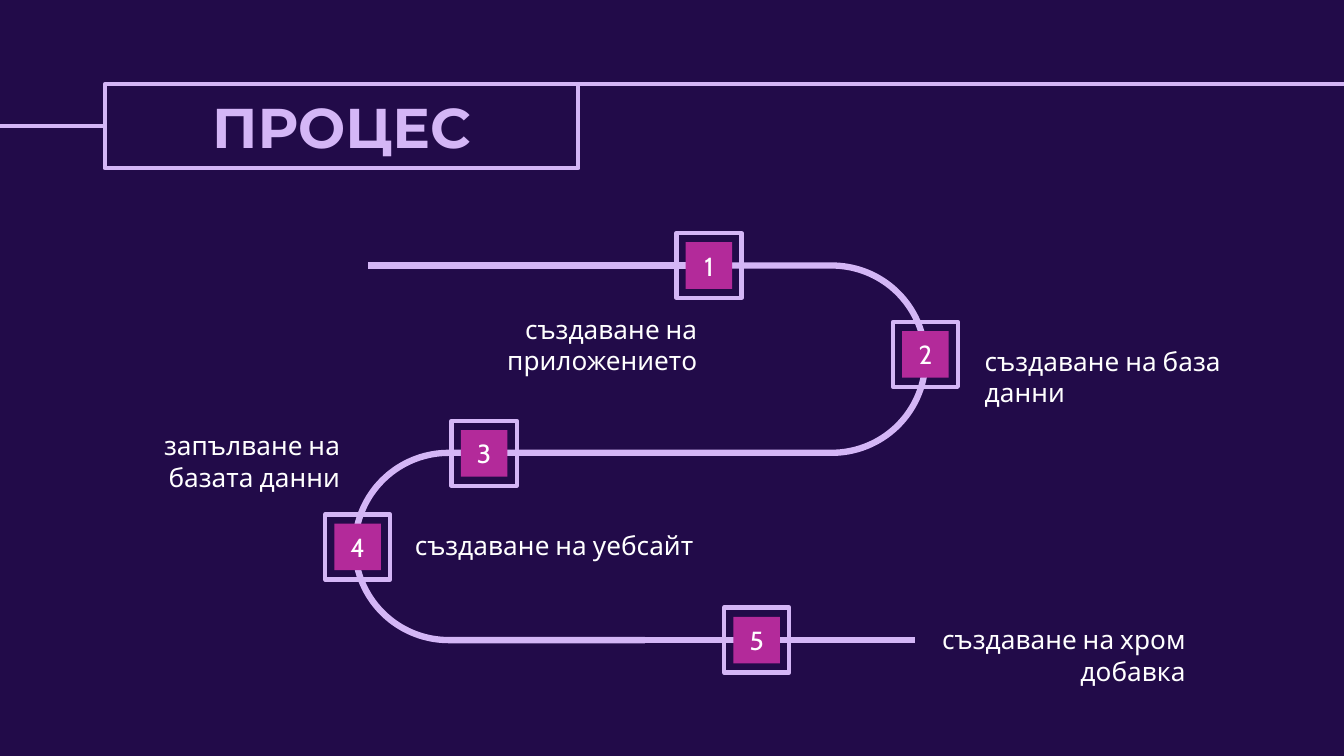
import math
from collections import namedtuple
from dataclasses import dataclass

from lxml import etree
from pptx import Presentation
from pptx import util as u
from pptx.dml.color import RGBColor
from pptx.enum import shapes, text
from pptx.oxml import ns

Box = namedtuple("Box", "left top width height")


@dataclass(frozen=True)
class Theme:
    """Colours, fonts and sizes of the slide."""
    night: RGBColor = RGBColor.from_string("220B49")
    lilac: RGBColor = RGBColor.from_string("D4B6F6")
    magenta: RGBColor = RGBColor.from_string("B32A9A")
    white: RGBColor = RGBColor.from_string("FFFFFF")
    title_font: str = "Montserrat"
    body_font: str = "Cabin"
    title_size: int = 30
    body_size: int = 14
    line_width: float = 2.25


THEME = Theme()
LEFT, CENTER, RIGHT = text.PP_ALIGN.LEFT, text.PP_ALIGN.CENTER, text.PP_ALIGN.RIGHT
PITCH, RADIUS, BAND = 3.54, 1.77, 0.12
TOP_ROW = 1.02
MIDDLE_ROW, BOTTOM_ROW = TOP_ROW + PITCH, TOP_ROW + 2 * PITCH
RIGHT_BEND = (9.72, TOP_ROW + RADIUS)
LEFT_BEND = (2.48, MIDDLE_ROW + RADIUS)
RING, TILE = 1.23, 0.88

STRAIGHTS = [(0.96, 7.13, TOP_ROW), (5.33, 8.02, BOTTOM_ROW), (8.61, 11.3, BOTTOM_ROW)]
BENDS = [
    (RIGHT_BEND, -12, -90, 7.77),
    (RIGHT_BEND, 9, 90, 3.47),
    (LEFT_BEND, 190, 270, 2.86),
    (LEFT_BEND, 172, 90, 6.19),
]
STOPS = [(7.4, TOP_ROW), (11.49, 2.7), (3.15, 4.57), (0.76, 6.34), (8.3, BOTTOM_ROW)]
LABELS = [
    ("създаване на приложението", Box(1.41, 1.67, 6.02, 1.04), RIGHT),
    ("създаване на база данни", Box(12.36, 2.27, 5.05, 1.17), LEFT),
    ("запълване на базата данни", Box(-4.76, 3.87, 5.44, 1.04), RIGHT),
    ("създаване на уебсайт", Box(1.59, 5.75, 6.02, 1.17), LEFT),
    ("създаване на хром добавка", Box(10.64, 7.54, 6.02, 1.6), RIGHT),
]


def within(box, part):
    """Return the slide lengths of a part placed relative to a box."""
    return [u.Cm(n) for n in (box.left + part.left, box.top + part.top, part.width, part.height)]


def outline(shape):
    """Give a shape or connector the lilac line."""
    shape.line.color.rgb = THEME.lilac
    shape.line.width = u.Pt(THEME.line_width)


def write(shape, words, align, anchor, font, size, color, bold=False):
    """Fill a shape with one formatted paragraph."""
    frame = shape.text_frame
    frame.text = words
    frame.word_wrap = True
    frame.auto_size = text.MSO_AUTO_SIZE.NONE
    frame.vertical_anchor = anchor
    frame.margin_left = frame.margin_right = u.Cm(0.25)
    frame.margin_top = frame.margin_bottom = u.Cm(0.25)
    para = frame.paragraphs[0]
    para.alignment = align
    for span in para.runs:
        span.font.name, span.font.size = font, u.Pt(size)
        span.font.bold, span.font.color.rgb = bold, color


def write_body(shape, words, align, anchor):
    """Write white body text into a shape."""
    write(shape, words, align, anchor, THEME.body_font, THEME.body_size, THEME.white)


def add_rule(page, start, end):
    """Draw a straight lilac line between two points."""
    rule = page.shapes.add_connector(
        shapes.MSO_CONNECTOR.STRAIGHT, *[u.Cm(n) for n in (*start, *end)])
    outline(rule)
    etree.SubElement(rule.element.spPr, ns.qn("a:effectLst"))
    return rule


def add_header(page, box, page_width):
    """Place the framed title and the lines to both slide edges."""
    title = page.shapes.title
    title.left, title.top, title.width, title.height = [u.Cm(n) for n in box]
    title.fill.solid()
    title.fill.fore_color.rgb = THEME.night
    outline(title)
    write(title, "ПРОЦЕС", CENTER, text.MSO_ANCHOR.MIDDLE,
          THEME.title_font, THEME.title_size, THEME.lilac, True)
    add_rule(page, (box.left + box.width, box.top), (page_width + 0.15, box.top))
    middle = box.top + box.height / 2
    add_rule(page, (-0.18, middle), (box.left, middle)).end_connect(title, 1)


def arc(center, radius, start, end):
    """Return the points of two Bézier curves that follow an arc given in degrees."""
    step = math.radians(end - start) / 2
    reach = 4 / 3 * math.tan(step / 4)
    points = []
    for i in range(3):
        angle = math.radians(start) + i * step
        cos, sin = math.cos(angle), math.sin(angle)
        for pull in (-reach, 0, reach):
            points.append((center[0] + radius * (cos - pull * sin),
                           center[1] + radius * (sin + pull * cos)))
    return points[1:-1]


def add_band(page, box, points, curves=()):
    """Draw a filled outline, turning three points into a curve at each given index."""
    edge = [(u.Cm(box.left + x), u.Cm(box.top + y)) for x, y in points]
    builder = page.shapes.build_freeform(*edge[0])
    builder.add_line_segments(edge[1:], close=True)
    band = builder.convert_to_shape()
    band.shadow.inherit = False
    band.fill.solid()
    band.fill.fore_color.rgb = THEME.lilac
    band.line.fill.background()
    segments = list(band.element.iter(ns.qn("a:lnTo")))
    for i in curves:
        curve = segments[i]
        curve.tag = ns.qn("a:cubicBezTo")
        for extra in segments[i + 1:i + 3]:
            curve.append(extra[0])
            extra.getparent().remove(extra)


def add_trail(page, box):
    """Draw the winding trail in pieces that meet under the stops."""
    half = BAND / 2
    for start, end, row in STRAIGHTS:
        add_band(page, box, [(start, row - half), (start, row + half),
                             (end, row + half), (end, row - half)])
    for center, start, end, tail in BENDS:
        outer = arc(center, RADIUS + half, start, end)
        inner = arc(center, RADIUS - half, start, end)
        corners = [(tail, outer[-1][1]), (tail, inner[-1][1])]
        add_band(page, box, outer + corners + inner[::-1], (0, 3, 9, 12))


def add_square(page, box, center, size):
    """Add a plain square around a centre point."""
    part = Box(center[0] - size / 2, center[1] - size / 2, size, size)
    square = page.shapes.add_shape(shapes.MSO_SHAPE.RECTANGLE, *within(box, part))
    square.shadow.inherit = False
    return square


def add_stop(page, box, number, center):
    """Place a ring with a numbered tile inside it."""
    ring = add_square(page, box, center, RING)
    ring.fill.background()
    outline(ring)
    tile = add_square(page, box, center, TILE)
    tile.fill.solid()
    tile.fill.fore_color.rgb = THEME.magenta
    tile.line.fill.background()
    write_body(tile, str(number), CENTER, text.MSO_ANCHOR.MIDDLE)


def add_process(page, box):
    """Place the trail, its stops and their labels."""
    add_trail(page, box)
    for number, center in enumerate(STOPS, 1):
        add_stop(page, box, number, center)
    for words, part, align in LABELS:
        label = page.shapes.add_textbox(*within(box, part))
        write_body(label, words, align, text.MSO_ANCHOR.TOP)


def main():
    """Build the deck and save it."""
    deck = Presentation()
    deck.slide_width, deck.slide_height = u.Cm(25.4), u.Cm(14.29)
    page = deck.slides.add_slide(deck.slide_layouts.get_by_name("Title Only"))
    page.background.fill.solid()
    page.background.fill.fore_color.rgb = THEME.night
    add_header(page, Box(1.98, 1.59, 8.95, 1.59), 25.4)
    add_process(page, Box(6, 4, 12.1, 8.73))
    deck.save("out.pptx")


if __name__ == "__main__":
    main()
